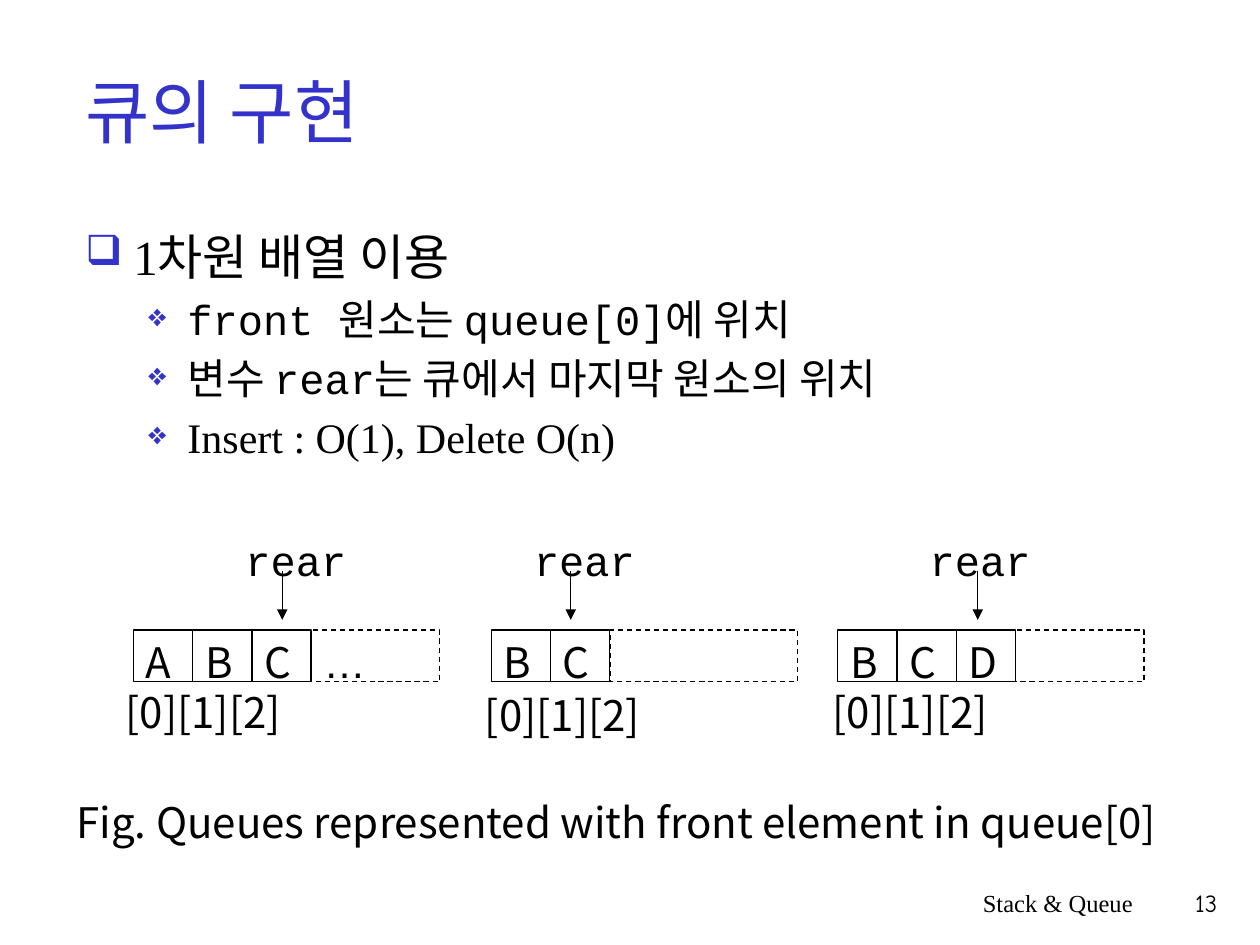
from pptx import Presentation
from pptx.dml.color import RGBColor
from pptx.enum.dml import MSO_LINE
from pptx.enum.shapes import MSO_CONNECTOR, MSO_SHAPE
from pptx.enum.text import MSO_ANCHOR, PP_ALIGN
from pptx.oxml.ns import qn
from pptx.util import Inches, Pt
from lxml import etree

RECTANGLE, STRAIGHT, DASH = MSO_SHAPE.RECTANGLE, MSO_CONNECTOR.STRAIGHT, MSO_LINE.DASH
TOP, MIDDLE = MSO_ANCHOR.TOP, MSO_ANCHOR.MIDDLE
LEFT, RIGHT = PP_ALIGN.LEFT, PP_ALIGN.RIGHT
SERIF, MONO, SANS = "Times New Roman", "Courier New", "Noto Sans CJK KR"
BLACK, BLUE = "000000", "3333CC"
CELL_WIDTH, CELL_HEIGHT, CELL_TOP = 0.47, 0.41, 5

BULLETS = [
    (0, [("1차원 배열 이용", SERIF)]),
    (1, [("front ", MONO), ("원소는 ", SERIF), ("queue[0]", MONO), ("에 위치", SERIF)]),
    (1, [("변수 ", SERIF), ("rear", MONO), ("는 큐에서 마지막 원소의 위치", SERIF)]),
    (1, [("Insert : O(1), Delete O(n)", SERIF)]),
]
LEVELS = [("❑", 0.38, 0.38, 28, 85), ("❖", 0.81, 0.31, 24, 75)]
QUEUES = [
    (1.06, "ABC", "…", 1.02, 2.24, 1.85, 0.9, 5.4),
    (3.9, "BC", "", 1.49, 4.53, 4.14, 3.75, 5.42),
    (6.65, "BCD", "", 1.02, 7.76, 7.28, 6.51, 5.4),
]


def color(value):
    """Return the colour for a hex string."""
    return RGBColor.from_string(value)


def format_run(run, font, size, fill=BLACK):
    """Set the fonts, size and colour of a run."""
    run.font.name, run.font.size = font, Pt(size)
    run.font.color.rgb = color(fill)
    etree.SubElement(run.font._element, qn("a:ea"), typeface=SANS)


def write(frame, text, font, size, fill=BLACK, align=LEFT, anchor=TOP):
    """Write one formatted line into a text frame."""
    frame.text = text
    frame.word_wrap = True
    frame.vertical_anchor = anchor
    frame.paragraphs[0].alignment = align
    for run in frame.paragraphs[0].runs:
        format_run(run, font, size, fill)


def add_label(slide, box, text, font=SANS, size=24, align=LEFT):
    """Add a text box with one line."""
    label = slide.shapes.add_textbox(*map(Inches, box))
    write(label.text_frame, text, font, size, align=align)
    return label


def add_title(slide, box, text):
    """Place and format the title placeholder."""
    title = slide.shapes.title
    title.left, title.top, title.width, title.height = map(Inches, box)
    write(title.text_frame, text, SERIF, 40, BLUE, anchor=MIDDLE)


def add_bullet(paragraph, level):
    """Give a paragraph the indent and bullet of its level."""
    mark, margin, hang, _, percent = LEVELS[level]
    properties = paragraph._p.get_or_add_pPr()
    properties.set("marL", str(Inches(margin)))
    properties.set("indent", str(-Inches(hang)))
    bullet_color = etree.SubElement(properties, qn("a:buClr"))
    etree.SubElement(bullet_color, qn("a:srgbClr"), val=BLUE)
    etree.SubElement(properties, qn("a:buSzPct"), val=str(percent * 1000))
    etree.SubElement(properties, qn("a:buChar"), char=mark)


def add_body(slide, box):
    """Add the bulleted list."""
    frame = slide.shapes.add_textbox(*map(Inches, box)).text_frame
    frame.word_wrap = True
    for index, (level, pieces) in enumerate(BULLETS):
        paragraph = frame.add_paragraph() if index else frame.paragraphs[0]
        size = LEVELS[level][3]
        paragraph.level = level
        paragraph.space_before = Pt(size * 0.2)
        add_bullet(paragraph, level)
        for text, font in pieces:
            run = paragraph.add_run()
            run.text = text
            format_run(run, font, size)


def add_cell(slide, left, width, text, font=SANS, dashed=False):
    """Add one array cell."""
    box = map(Inches, (left, CELL_TOP, width, CELL_HEIGHT))
    cell = slide.shapes.add_shape(RECTANGLE, *box)
    cell.shadow.inherit = False
    cell.fill.background()
    cell.line.color.rgb = color(BLACK)
    cell.line.width = Pt(0.75)
    if dashed:
        cell.line.dash_style = DASH
    if text:
        write(cell.text_frame, text, font, 24)


def add_arrow(slide, x, top, bottom):
    """Add a downward arrow."""
    arrow = slide.shapes.add_connector(STRAIGHT, *map(Inches, (x, top, x, bottom)))
    arrow.line.color.rgb = color(BLACK)
    arrow.line.width = Pt(0.75)
    etree.SubElement(arrow.line._get_or_add_ln(), qn("a:tailEnd"), type="triangle")
    etree.SubElement(arrow._element.spPr, qn("a:effectLst"))


def add_queue(slide, left, items, rest, rest_width, arrow_x, rear_left, index_left, index_top):
    """Add a queue with its cells, rear pointer and indices."""
    for position, item in enumerate(items):
        add_cell(slide, left + position * CELL_WIDTH, CELL_WIDTH, item)
    rest_left = left + len(items) * CELL_WIDTH
    add_cell(slide, rest_left, rest_width, rest, "Arial", dashed=True)
    add_arrow(slide, arrow_x, 4.53, 4.92)
    rear = add_label(slide, (rear_left, 4.14, 1.2, 0.5), "rear", MONO)
    rear.text_frame.margin_top = Inches(0.1)
    add_label(slide, (index_left, index_top, 2.6, 0.5), "[0][1][2]")


def main():
    """Build and save the slide."""
    deck = Presentation()
    deck.slide_width, deck.slide_height = Inches(10), Inches(7.5)
    slide = deck.slides.add_slide(deck.slide_layouts[5])
    add_title(slide, (0.58, 0.25, 8.5, 1.25), "큐의 구현")
    add_body(slide, (0.58, 1.75, 8.5, 5.08))
    for queue in QUEUES:
        add_queue(slide, *queue)
    add_label(slide, (0.51, 6.27, 9.07, 0.5),
              "Fig. Queues represented with front element in queue[0]")
    add_label(slide, (5.92, 7, 3.17, 0.5), "Stack & Queue", SERIF, 14, RIGHT)
    add_label(slide, (9.08, 7, 0.68, 0.5), "13", "Comic Neue", 14, RIGHT)
    deck.save("out.pptx")


if __name__ == "__main__":
    main()
